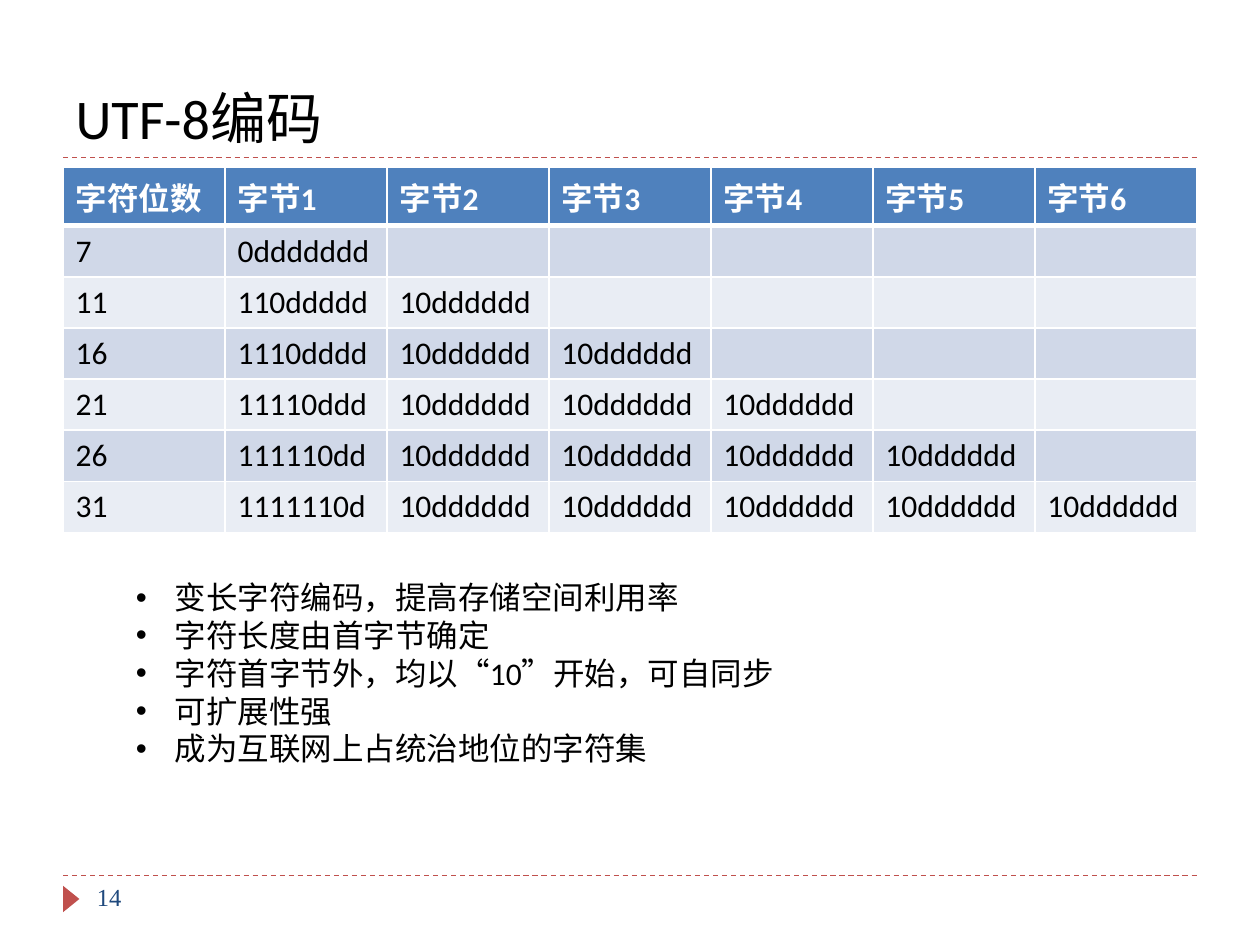
from lxml import etree
from pptx import Presentation
from pptx import util as u
from pptx.dml.color import RGBColor
from pptx.enum import dml, shapes, text
from pptx.oxml.ns import qn


def rgb(code):
    return RGBColor.from_string(code)


class Deck:
    """Style and current slide; lengths are in half-inch grid units."""
    unit = 0.5
    font, serif = "Calibri", "Times New Roman"
    black, white, red, navy = "000000", "FFFFFF", "C0504D", "1F497D"
    head, bands = "4F81BD", ("D0D8E8", "E9EDF4")

    def __init__(self):
        self.prs = Presentation()
        self.prs.slide_width = self.size(20)
        self.prs.slide_height = self.size(15)
        self.slide = self.prs.slides.add_slide(self.prs.slide_layouts[5])
        self.items = self.slide.shapes

    def size(self, n):
        return u.Inches(n * self.unit)

    def box(self, *nums):
        return [self.size(n) for n in nums]

    def run(self, para, words, size=18, color=black, bold=False, font=font):
        run = para.add_run()
        run.text = words
        run.font.name, run.font.size, run.font.bold = font, u.Pt(size), bold
        run.font.color.rgb = rgb(color)

    def title(self, words, *at):
        item = self.items.title
        item.left, item.top, item.width, item.height = self.box(*at)
        frame = item.text_frame
        frame.vertical_anchor = text.MSO_ANCHOR.BOTTOM
        frame.paragraphs[0].alignment = text.PP_ALIGN.LEFT
        self.run(frame.paragraphs[0], words, 32)

    def rule(self, row):
        line = self.items.add_connector(
            shapes.MSO_CONNECTOR.STRAIGHT, *self.box(1, row, 19, row))
        line.line.color.rgb = rgb(self.red)
        line.line.width = u.Pt(0.75)
        line.line.dash_style = dml.MSO_LINE.DASH
        etree.SubElement(line._element.spPr, qn("a:effectLst"))

    def mark(self, *at):
        item = self.items.add_shape(
            shapes.MSO_SHAPE.ISOSCELES_TRIANGLE, *self.box(*at))
        item.rotation = 90
        item.shadow.inherit = False
        item.fill.solid()
        item.fill.fore_color.rgb = rgb(self.red)
        item.line.fill.background()

    def note(self, *at):
        frame = self.items.add_textbox(*self.box(*at)).text_frame
        frame.word_wrap = True
        return frame

    def bullets(self, lines, *at):
        frame = self.note(*at)
        for i, words in enumerate(lines):
            para = frame.add_paragraph() if i else frame.paragraphs[0]
            props = para._p.get_or_add_pPr()
            indent = u.Inches(0.31)
            props.set("marL", str(indent))
            props.set("indent", str(-indent))
            etree.SubElement(props, qn("a:buFont"), typeface="Arial")
            etree.SubElement(props, qn("a:buChar"), char="•")
            self.run(para, words)

    def edges(self, cell, top, bottom):
        props = cell._tc.get_or_add_tcPr()
        widths = {"lnL": 1, "lnR": 1, "lnT": top, "lnB": bottom}
        for i, (side, width) in enumerate(widths.items()):
            line = etree.Element(qn("a:" + side), w=str(u.Pt(width)))
            fill = etree.SubElement(line, qn("a:solidFill"))
            etree.SubElement(fill, qn("a:srgbClr"), val=self.white)
            props.insert(i, line)

    def table(self, rows, *at):
        table = self.items.add_table(
            len(rows), len(rows[0]), *self.box(*at)).table
        for r, row in enumerate(rows):
            top = r == 0
            for c, words in enumerate(row):
                cell = table.cell(r, c)
                cell.fill.solid()
                cell.fill.fore_color.rgb = rgb(
                    self.head if top else self.bands[(r - 1) % 2])
                self.edges(cell, 3 if r == 1 else 1, 3 if top else 1)
                para = cell.text_frame.paragraphs[0]
                if words:
                    self.run(para, words,
                             color=self.white if top else self.black, bold=top)
                else:
                    para.font.size = u.Pt(18)


def main():
    deck = Deck()

    # Rules and footer mark
    deck.rule(13.9)
    deck.mark(0.92, 14.14, 0.42, 0.26)
    deck.rule(2.5)

    # Title
    deck.title("UTF-8编码", 1, 0.34, 18, 2.16)

    # Byte layout: each longer code adds one continuation byte
    bits = [7, 11, 16, 21, 26, 31]
    leads = ["0ddddddd", "110ddddd", "1110dddd",
             "11110ddd", "111110dd", "1111110d"]
    rows = [["字符位数"] + [f"字节{n}" for n in range(1, 7)]]
    for n, (bit, lead) in enumerate(zip(bits, leads)):
        rows.append([str(bit), lead] + ["10dddddd"] * n + [""] * (5 - n))
    deck.table(rows, 1, 2.66, 18, 5.68)

    # Page number
    deck.run(deck.note(1.34, 13.9, 4.34, 0.8).paragraphs[0], "14", 14,
             deck.navy, font=deck.serif)

    # Key points
    deck.bullets(["变长字符编码，提高存储空间利用率",
                  "字符长度由首字节确定",
                  "字符首字节外，均以“10”开始，可自同步",
                  "可扩展性强",
                  "成为互联网上占统治地位的字符集"], 1.96, 9.08, 10.62, 3.24)

    deck.prs.save("out.pptx")


if __name__ == "__main__":
    main()
